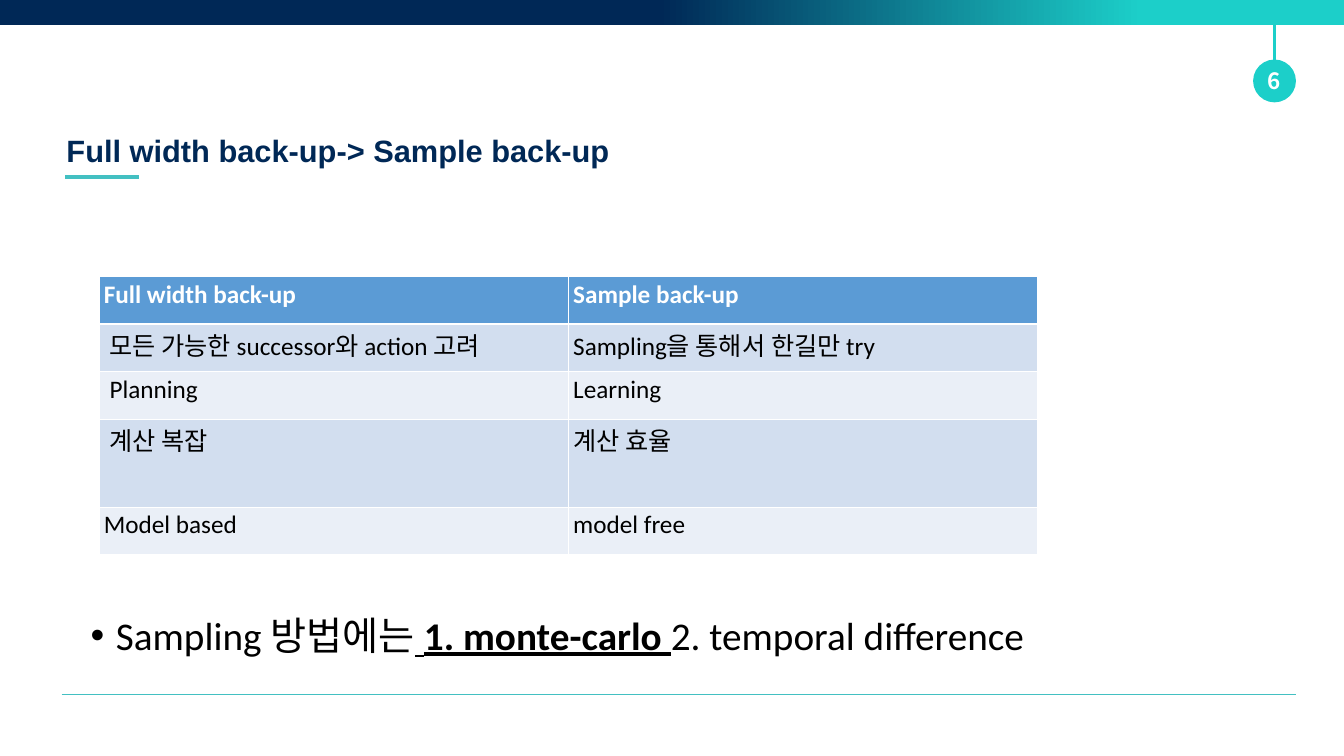
from lxml import etree
from pptx import Presentation
from pptx.dml.color import RGBColor
from pptx.enum import shapes, text
from pptx.oxml import ns
from pptx.util import Cm, Pt

COLORS = {
    "navy": "002856", "teal": "1CCFC9", "rule": "43C0C2",
    "white": "FFFFFF", "black": "000000",
    "header": "5B9BD5", "band_dark": "D2DEEF", "band_light": "EAEFF7",
}
KOREAN = "Noto Sans CJK KR"
ROWS = [
    ("Full width back-up", "Sample back-up"),
    (" 모든 가능한 successor와 action 고려", "Sampling을 통해서 한길만 try"),
    (" Planning", "Learning"),
    (" 계산 복잡", "계산 효율"),
    ("Model based", "model free"),
]
ROW_HEIGHTS = [2.39, 2.39, 2.39, 4.45, 2.39]


def rgb(name):
    return RGBColor.from_string(COLORS[name])


def add_run(p, content, size, font="Calibri", color="black", bold=False, underline=False):
    r = p.add_run()
    r.text = content
    r.font.size, r.font.name = Pt(size), font
    r.font.bold, r.font.underline = bold, underline
    r.font.color.rgb = rgb(color)
    etree.SubElement(r.font._element, ns.qn("a:ea"), typeface=KOREAN)
    return r


def add_line(s, x1, y1, x2, y2, color, width):
    line = s.shapes.add_connector(shapes.MSO_CONNECTOR.STRAIGHT, Cm(x1), Cm(y1), Cm(x2), Cm(y2))
    line.line.color.rgb = rgb(color)
    line.line.width = Pt(width)
    etree.SubElement(line._element.spPr, ns.qn("a:effectLst"))


def add_plain_shape(s, kind, x, y, w, h):
    sp = s.shapes.add_shape(kind, Cm(x), Cm(y), Cm(w), Cm(h))
    sp.shadow.inherit = False
    sp.line.fill.background()
    return sp


def add_text_box(s, x, y, w, h):
    tf = s.shapes.add_textbox(Cm(x), Cm(y), Cm(w), Cm(h)).text_frame
    tf.word_wrap = True
    return tf


def add_top_bar(s, x, y, w, h):
    bar = add_plain_shape(s, shapes.MSO_SHAPE.RECTANGLE, x, y, w, h)
    bar.fill.gradient()
    bar.fill.gradient_angle = 0
    for stop, position, color in zip(bar.fill.gradient_stops, (0.49, 0.85), ("navy", "teal")):
        stop.position = position
        stop.color.rgb = rgb(color)


def add_page_number(s, x, y, w, h, number):
    """Hang a numbered disc of diameter w at the bottom of the box."""
    disc_top = y + h - w
    add_line(s, x + w / 2, y, x + w / 2, disc_top + w / 2, "teal", 3.25)
    disc = add_plain_shape(s, shapes.MSO_SHAPE.OVAL, x, disc_top, w, w)
    disc.fill.solid()
    disc.fill.fore_color.rgb = rgb("teal")
    tf = disc.text_frame
    tf.margin_left = tf.margin_right = tf.margin_top = tf.margin_bottom = 0
    tf.vertical_anchor = text.MSO_ANCHOR.MIDDLE
    p = tf.paragraphs[0]
    p.alignment = text.PP_ALIGN.CENTER
    add_run(p, number, 32, font=KOREAN, color="white", bold=True)


def add_title(s, x, y, w, h, content):
    tf = add_text_box(s, x, y, w, h)
    add_run(tf.paragraphs[0], content, 44, font="Arial", color="navy", bold=True)
    add_line(s, x + 0.2, y + h + 0.26, x + 3.91, y + h + 0.26, "rule", 4.5)


def set_borders(cell, bottom):
    tc_pr = cell._tc.get_or_add_tcPr()
    for i, (side, width) in enumerate([("L", 1), ("R", 1), ("T", 1), ("B", bottom)]):
        ln = etree.Element(ns.qn(f"a:ln{side}"), w=str(Pt(width)))
        fill = etree.SubElement(ln, ns.qn("a:solidFill"))
        etree.SubElement(fill, ns.qn("a:srgbClr"), val=COLORS["white"])
        tc_pr.insert(i, ln)


def add_comparison(s, x, y, w, h):
    columns = len(ROWS[0])
    table = s.shapes.add_table(len(ROWS), columns, Cm(x), Cm(y), Cm(w), Cm(h)).table
    for column in table.columns:
        column.width = Cm(w / columns)
    for i, (row, height) in enumerate(zip(ROWS, ROW_HEIGHTS)):
        table.rows[i].height = Cm(height)
        header = i == 0
        fill = "header" if header else ("band_light", "band_dark")[i % 2]
        for j, content in enumerate(row):
            cell = table.cell(i, j)
            cell.fill.solid()
            cell.fill.fore_color.rgb = rgb(fill)
            set_borders(cell, 3 if header else 1)
            add_run(cell.text_frame.paragraphs[0], content, 36,
                    color="white" if header else "black", bold=header)


def add_sampling_note(s, x, y, w, h):
    p = add_text_box(s, x, y, w, h).paragraphs[0]
    p.line_spacing = 0.9
    p_pr = p._p.get_or_add_pPr()
    p_pr.set("marL", str(Cm(1.27)))
    p_pr.set("indent", str(-Cm(1.27)))
    etree.SubElement(p_pr, ns.qn("a:buFont"), typeface="Arial")
    etree.SubElement(p_pr, ns.qn("a:buChar"), char="•")
    add_run(p, "Sampling 방법에는", 56)
    add_run(p, " 1. monte-carlo ", 56, bold=True, underline=True)
    add_run(p, "2. temporal difference", 56)


def main():
    prs = Presentation()
    prs.slide_width, prs.slide_height = Cm(67.72), Cm(38.1)
    s = prs.slides.add_slide(prs.slide_layouts[6])
    add_line(s, 3.1, 35, 65.3, 35, "rule", 0.5)
    add_top_bar(s, 0, 0, 67.72, 1.24)
    add_page_number(s, 63.14, 0, 2.16, 5.16, "6")
    add_title(s, 3.1, 6.53, 49.33, 2.13, "Full width back-up-> Sample back-up")
    add_sampling_note(s, 4.32, 30.94, 58.42, 2.8)
    add_comparison(s, 4.98, 13.94, 47.3, sum(ROW_HEIGHTS))
    prs.save("out.pptx")


if __name__ == "__main__":
    main()
